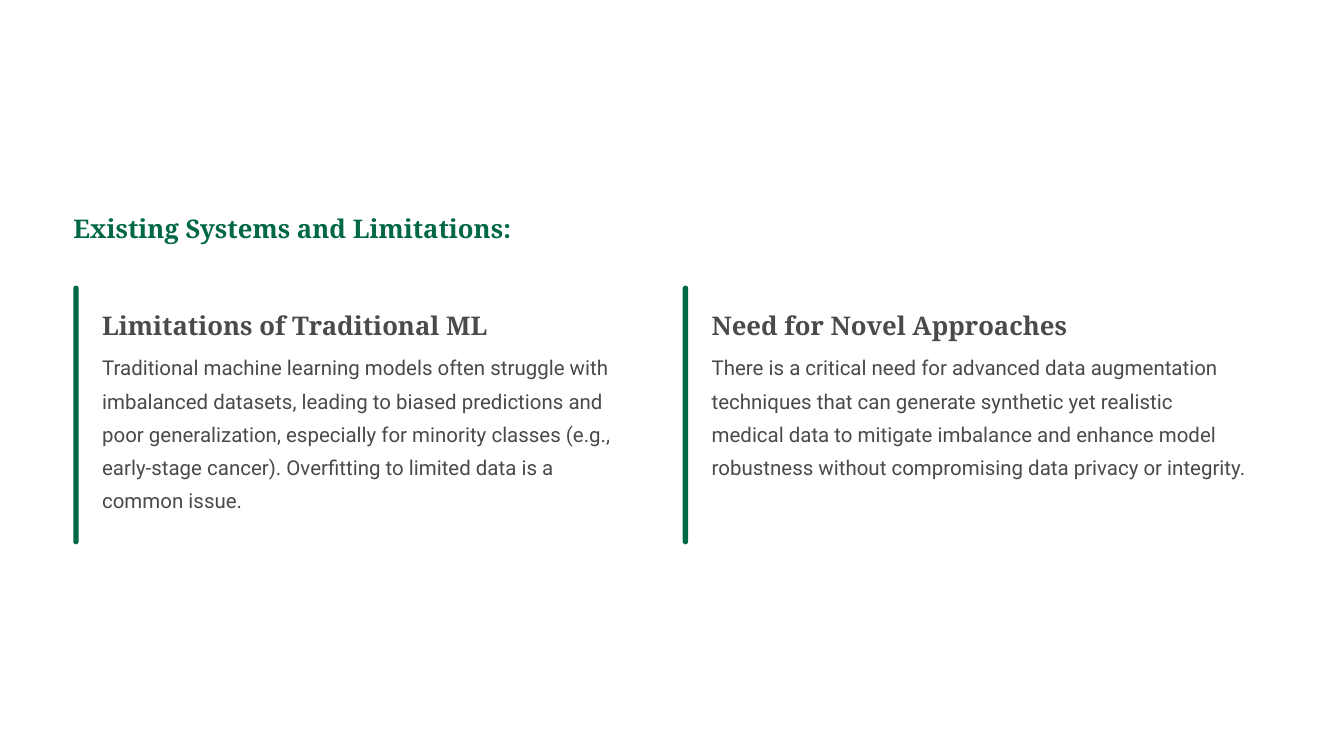
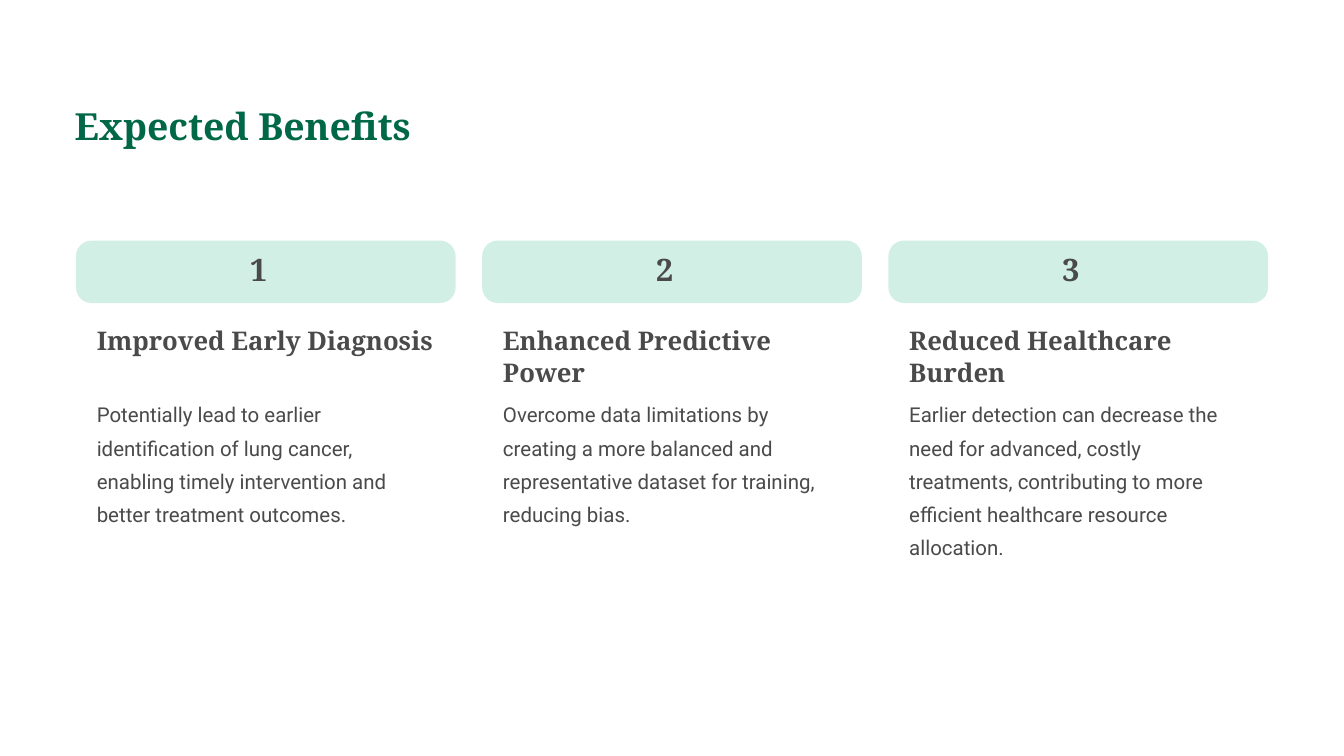
from pptx import Presentation
from pptx import util as u
from pptx.dml.color import RGBColor
from pptx.enum import shapes, text

COLORS = {"green": "006747", "mint": "D1EFE4", "gray": "4B4A4A"}
SERIF, SANS = "Noto Serif", "Roboto"
STYLES = {
    "section": (SERIF, 27.5, 34.4, "green", True),
    "title": (SERIF, 40, 34.4, "green", True),
    "number": (SERIF, 33.1, 33.1, "gray", True),
    "heading": (SERIF, 27.5, 34.4, "gray", True),
    "body": (SANS, 21.9, 35.6, "gray", False),
}

LIMITATIONS = [
    ("Limitations of Traditional ML",
     "Traditional machine learning models often struggle with imbalanced datasets, "
     "leading to biased predictions and poor generalization, especially for minority "
     "classes (e.g., early-stage cancer). Overfitting to limited data is a common issue."),
    ("Need for Novel Approaches",
     "There is a critical need for advanced data augmentation techniques that can "
     "generate synthetic yet realistic medical data to mitigate imbalance and enhance "
     "model robustness without compromising data privacy or integrity."),
]
BENEFITS = [
    ("Improved Early Diagnosis",
     "Potentially lead to earlier identification of lung cancer, enabling timely "
     "intervention and better treatment outcomes.", 2.1),
    ("Enhanced Predictive Power",
     "Overcome data limitations by creating a more balanced and representative dataset "
     "for training, reducing bias.", 2.1),
    ("Reduced Healthcare Burden",
     "Earlier detection can decrease the need for advanced, costly treatments, "
     "contributing to more efficient healthcare resource allocation.", 2.6),
]


def write(frame, words, style):
    font_name, size, leading, color, bold = STYLES[style]
    frame.margin_left = frame.margin_top = frame.margin_right = frame.margin_bottom = 0
    frame.word_wrap = True
    frame.auto_size = text.MSO_AUTO_SIZE.SHAPE_TO_FIT_TEXT
    frame.vertical_anchor = text.MSO_ANCHOR.TOP
    paragraph = frame.paragraphs[0]
    paragraph.alignment = text.PP_ALIGN.LEFT
    paragraph.line_spacing = u.Pt(leading)
    run = paragraph.add_run()
    run.text = words
    run.font.name = font_name
    run.font.size = u.Pt(size)
    run.font.bold = bold
    run.font.color.rgb = RGBColor.from_string(COLORS[color])


def add_title_slide(deck, words, style, left, top, width, height):
    slide = deck.slides.add_slide(deck.slide_layouts[5])
    title = slide.shapes.title
    title.left, title.top = u.Inches(left), u.Inches(top)
    title.width, title.height = u.Inches(width), u.Inches(height)
    write(title.text_frame, words, style)
    return slide


def add_label(slide, words, style, left, top, width, height):
    label = slide.shapes.add_textbox(*map(u.Inches, (left, top, width, height)))
    write(label.text_frame, words, style)


def add_rounded_band(slide, color, rounding, left, top, width, height):
    band = slide.shapes.add_shape(shapes.MSO_SHAPE.ROUNDED_RECTANGLE,
                                  *map(u.Inches, (left, top, width, height)))
    band.adjustments[0] = rounding
    band.shadow.inherit = False
    band.fill.solid()
    band.fill.fore_color.rgb = RGBColor.from_string(COLORS[color])
    band.line.fill.background()


def add_limitation(slide, left, heading, body):
    add_rounded_band(slide, "green", 0.5, left, 4.25, 0.08, 3.85)
    add_label(slide, heading, "heading", left + 0.43, 4.59, 5.81, 0.49)
    add_label(slide, body, "body", left + 0.43, 5.16, 7.97, 2.6)


def add_benefit(slide, left, number, heading, body, body_height):
    add_rounded_band(slide, "mint", 0.25, left, 3.58, 5.65, 0.93)
    add_label(slide, str(number), "number", left + 2.59, 3.82, 0.47, 0.52)
    add_label(slide, heading, "heading", left + 0.31, 4.81, 5.03, 0.98)
    add_label(slide, body, "body", left + 0.31, 5.86, 5.03, body_height)


def main():
    deck = Presentation()
    deck.slide_width, deck.slide_height = u.Inches(20), u.Inches(11.25)

    limitations = add_title_slide(deck, "Existing Systems and Limitations:", "section",
                                  1.09, 3.14, 6.64, 0.49)
    for column, (heading, body) in enumerate(LIMITATIONS):
        add_limitation(limitations, 1.09 + column * 9.07, heading, body)

    benefits = add_title_slide(deck, "Expected Benefits", "title", 1.11, 1.73, 5.5, 0.5)
    for column, benefit in enumerate(BENEFITS):
        add_benefit(benefits, 1.13 + column * 6.045, column + 1, *benefit)

    deck.save("out.pptx")


if __name__ == "__main__":
    main()
